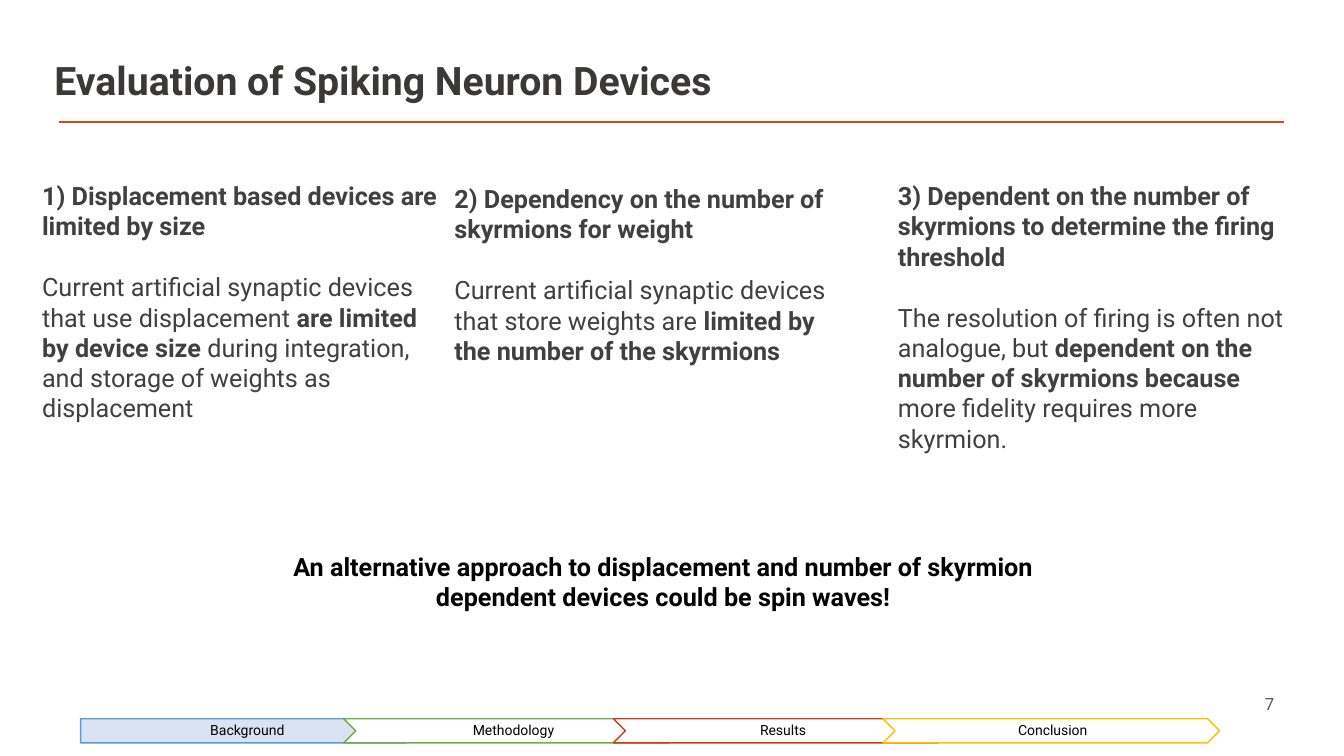
"""Build the slide that evaluates spiking neuron devices."""
from dataclasses import dataclass
from typing import Any

from lxml import etree
from pptx import Presentation
from pptx import util as u
from pptx.dml import color
from pptx.enum import shapes, text

HUES = {
    "title": "3B3838", "body": "404040", "page": "595959", "black": "000000",
    "white": "FFFFFF", "rule": "D24726", "pale": "DAE3F3", "blue": "5B9BD5",
    "green": "70AD47", "red": "CF3D1C", "gold": "FFC000",
}
FONT = "Roboto"
LEFT, MID, RIGHT = text.PP_ALIGN.LEFT, text.PP_ALIGN.CENTER, text.PP_ALIGN.RIGHT


@dataclass
class Box:
    """Place and size in points."""
    left: float
    top: float
    width: float
    height: float

    def spots(self) -> list[int]:
        """Give the four lengths."""
        return [u.Pt(n) for n in (self.left, self.top, self.width, self.height)]


@dataclass
class Run:
    """Words of one weight."""
    words: str
    bold: bool = False


@dataclass
class Block:
    """A heading above a body of runs."""
    box: Box
    head: str
    body: list[Run]


@dataclass
class Step:
    """One stage of the progress bar."""
    name: str
    left: float
    line: str
    fill: str = "white"
    kind: Any = shapes.MSO_SHAPE.CHEVRON


BLOCKS = [
    Block(Box(317.5, 127.4, 299.5, 288.7),
          "2) Dependency on the number of skyrmions for weight",
          [Run("Current artificial synaptic devices that store weights are "),
           Run("limited by the number of the skyrmions", True)]),
    Block(Box(23, 125.3, 299.5, 288.7),
          "1) Displacement based devices are limited by size",
          [Run("Current artificial synaptic devices that use displacement "),
           Run("are limited by device size ", True),
           Run("during integration, and storage of weights as displacement")]),
    Block(Box(634.3, 125.3, 290.2, 218.2),
          "3) Dependent on the number of skyrmions to determine the firing threshold",
          [Run("The resolution of firing is often not analogue, but "),
           Run("dependent on the number of skyrmions because ", True),
           Run("more fidelity requires more skyrmion.")]),
]
NEXT, PITCH = 245.5, 192.6
STEPS = [
    Step("Background", 57.6, "blue", "pale", shapes.MSO_SHAPE.PENTAGON),
    *(Step(name, NEXT + PITCH * i, line) for i, (name, line) in enumerate(
        [("Methodology", "green"), ("Results", "red"), ("Conclusion", "gold")])),
]


def tint(hue: str) -> color.RGBColor:
    """Look up a colour."""
    return color.RGBColor.from_string(HUES[hue])


def put(item: Any, form: dict[str, Any]) -> None:
    """Set each format value on an item."""
    for key, val in form.items():
        setattr(item, key, val)


def write(para: Any, runs: list[Run], size: float, hue: str, **form: Any) -> None:
    """Fill a paragraph with runs."""
    put(para, form)
    for part in runs:
        run = para.add_run()
        run.text = part.words
        put(run.font, {"name": FONT, "size": u.Pt(size), "bold": part.bold})
        run.font.color.rgb = tint(hue)


def frame(slide: Any, box: Box, anchor: Any = text.MSO_ANCHOR.TOP) -> Any:
    """Add a text box that wraps."""
    area = slide.shapes.add_textbox(*box.spots()).text_frame
    put(area, {"word_wrap": True, "vertical_anchor": anchor})
    return area


def head(slide: Any, words: str) -> None:
    """Place the title and its rule."""
    title = slide.shapes.title
    put(title, dict(zip(("left", "top", "width", "height"),
                        Box(31.7, 35.3, 882.7, 43.9).spots())))
    put(title.text_frame, {"vertical_anchor": text.MSO_ANCHOR.MIDDLE,
                           "auto_size": text.MSO_AUTO_SIZE.NONE})
    write(title.text_frame.paragraphs[0], [Run(words, True)], 28, "title", alignment=LEFT)
    rule = slide.shapes.add_connector(
        shapes.MSO_CONNECTOR.STRAIGHT, *map(u.Pt, (42, 87.1, 917.3, 87.1)))
    rule.line.color.rgb = tint("rule")
    rule.line.width = u.Pt(2)
    etree.SubElement(
        rule.element.spPr,
        "{http://schemas.openxmlformats.org/drawingml/2006/main}effectLst")


def column(slide: Any, block: Block) -> None:
    """Draw one column of findings."""
    area = frame(slide, block.box)
    write(area.paragraphs[0], [Run(block.head, True)], 18, "body", space_after=u.Pt(12))
    write(area.add_paragraph(), block.body, 18, "body", space_before=u.Pt(10))


def stage(slide: Any, step: Step) -> None:
    """Draw one stage of the progress bar."""
    item = slide.shapes.add_shape(step.kind, *Box(step.left, 513.4, 240.5, 17.3).spots())
    item.shadow.inherit = False
    item.fill.solid()
    item.fill.fore_color.rgb = tint(step.fill)
    item.line.color.rgb = tint(step.line)
    item.line.width = u.Pt(1)
    put(item.text_frame, {
        "margin_left": u.Pt(3), "margin_right": u.Pt(1), "margin_top": u.Pt(2),
        "margin_bottom": u.Pt(2), "word_wrap": True,
        "vertical_anchor": text.MSO_ANCHOR.MIDDLE})
    write(item.text_frame.paragraphs[0], [Run(step.name)], 10, "black",
          alignment=MID, line_spacing=0.9)


def main() -> None:
    """Build and save the deck."""
    deck = Presentation()
    put(deck, {"slide_width": u.Pt(960), "slide_height": u.Pt(540)})
    slide = deck.slides.add_slide(deck.slide_layouts[5])
    head(slide, "Evaluation of Spiking Neuron Devices")
    for block in BLOCKS:
        column(slide, block)
    page = frame(slide, Box(659.5, 488.2, 257.8, 28.8), text.MSO_ANCHOR.MIDDLE)
    write(page.paragraphs[0], [Run("7")], 12, "page", alignment=RIGHT)
    close = frame(slide, Box(180.7, 390.2, 586.1, 51.1))
    write(close.paragraphs[0], [Run(
        "An alternative approach to displacement and number of skyrmion "
        "dependent devices could be spin waves!", True)], 18, "black", alignment=MID)
    for step in STEPS:
        stage(slide, step)
    deck.save("out.pptx")


if __name__ == "__main__":
    main()
